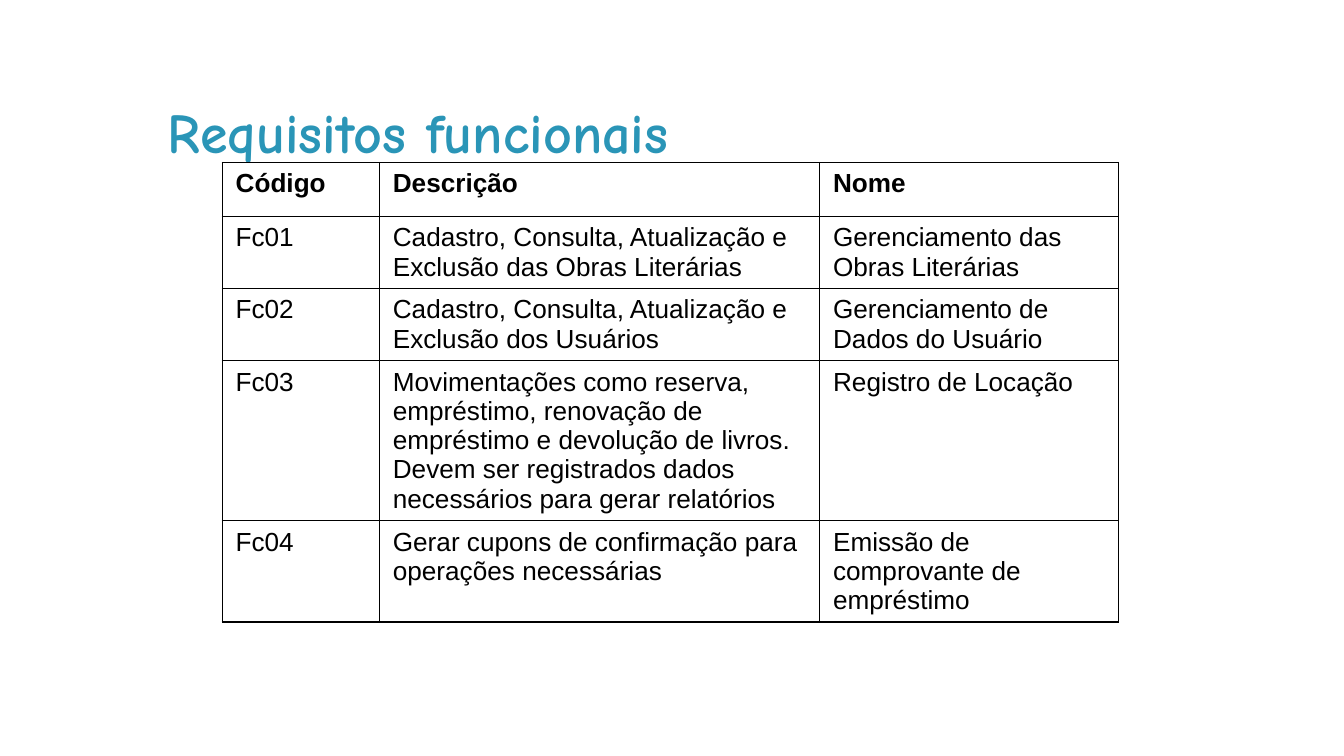
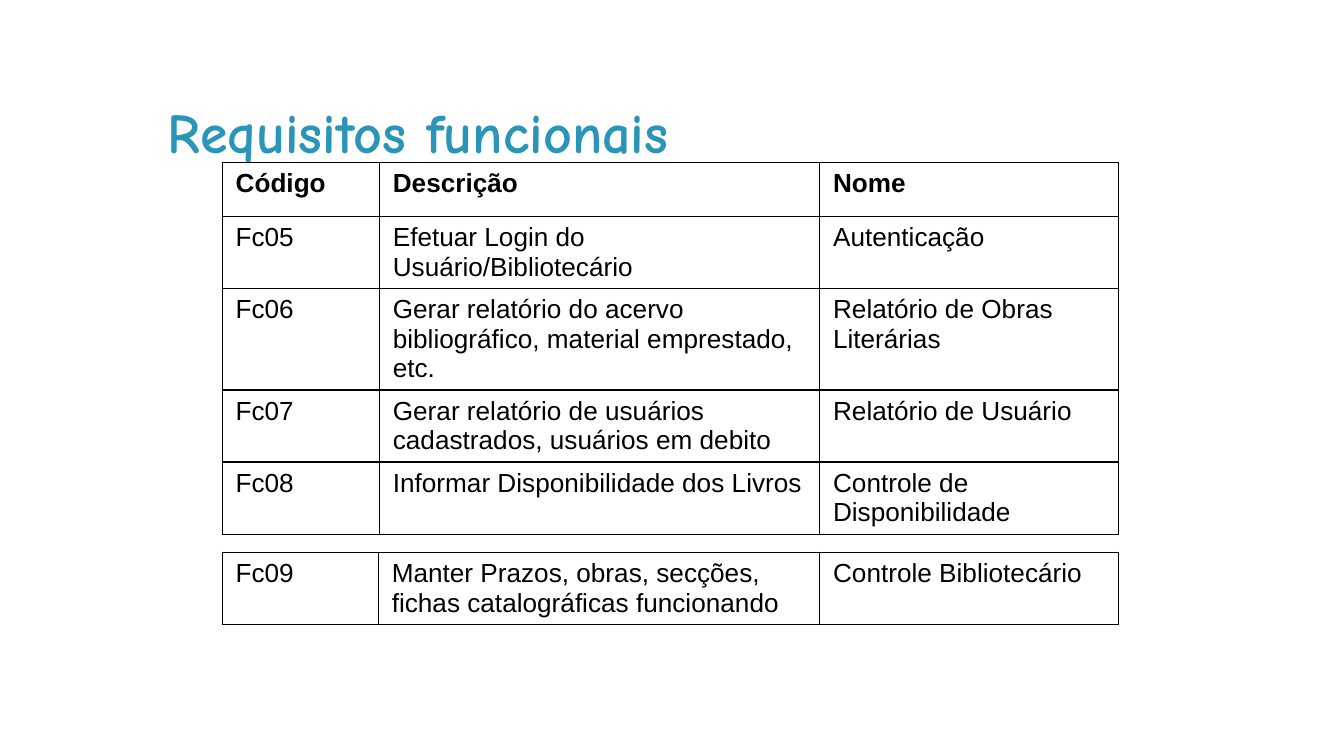
"""Two slides listing the functional requirements of a library system."""
import pptx
import pptx.dml.color
import pptx.enum.text
import pptx.oxml
import pptx.oxml.ns
import pptx.util

Cm = pptx.util.Cm
Pt = pptx.util.Pt

COLORS = {"title": "2A95B7", "text": "000000", "border": "000000"}
TITLE = "Requisitos funcionais"
HEADER = ("Código", "Descrição", "Nome")
TABLE_LEFT, TABLE_TOP, ROW_HEIGHT = 4.2, 3.07, 1.02
COLUMNS = (2.97, 8.32, 5.65)
CELL_LINE_SPACING = 15.7

FIRST_REQUIREMENTS = [
    ("Fc01", "Cadastro, Consulta, Atualização e Exclusão das Obras Literárias",
     "Gerenciamento das Obras Literárias"),
    ("Fc02", "Cadastro, Consulta, Atualização e Exclusão dos Usuários",
     "Gerenciamento de Dados do Usuário"),
    ("Fc03", "Movimentações como reserva, empréstimo, renovação de empréstimo e "
     "devolução de livros. Devem ser registrados dados necessários para gerar "
     "relatórios", "Registro de Locação"),
    ("Fc04", "Gerar cupons de confirmação para operações necessárias",
     "Emissão de comprovante de empréstimo"),
]
NEXT_REQUIREMENTS = [
    ("Fc05", "Efetuar Login do Usuário/Bibliotecário", "Autenticação"),
    ("Fc06", "Gerar relatório do acervo bibliográfico, material emprestado, etc.",
     "Relatório de Obras Literárias"),
    ("Fc07", "Gerar relatório de usuários cadastrados, usuários em debito",
     "Relatório de Usuário"),
    ("Fc08", "Informar Disponibilidade dos Livros", "Controle de Disponibilidade"),
]
LAST_REQUIREMENT = [
    ("Fc09", "Manter Prazos, obras, secções, fichas catalográficas funcionando",
     "Controle Bibliotecário"),
]


def write(frame, text, size=14, font="Arial", color="text", bold=False,
          line_spacing=None):
    """Write one formatted run of text; line_spacing is in points."""
    frame.word_wrap = True
    paragraph = frame.paragraphs[0]
    if line_spacing:
        paragraph.line_spacing = Pt(line_spacing)
    run = paragraph.add_run()
    run.text = text
    run.font.size = Pt(size)
    run.font.name = font
    run.font.bold = bold
    run.font.color.rgb = pptx.dml.color.RGBColor.from_string(COLORS[color])


def outline(cell, width=0.75):
    """Draw a solid line on all four sides of a cell."""
    properties = cell._tc.get_or_add_tcPr()
    for position, side in enumerate(("lnL", "lnR", "lnT", "lnB")):
        line = pptx.oxml.parse_xml(
            f'<a:{side} {pptx.oxml.ns.nsdecls("a")} w="{Pt(width)}">'
            f'<a:solidFill><a:srgbClr val="{COLORS["border"]}"/></a:solidFill>'
            f'<a:prstDash val="solid"/></a:{side}>')
        properties.insert(position, line)


def add_titled_slide(deck):
    """Add a blank slide with the shared title."""
    slide = deck.slides.add_slide(deck.slide_layouts[6])
    title = slide.shapes.add_textbox(Cm(2.92), Cm(1.6), Cm(19.5), Cm(2.08))
    frame = title.text_frame
    frame.margin_top = frame.margin_bottom = Cm(0.25)
    frame.margin_left = frame.margin_right = Cm(0.25)
    frame.vertical_anchor = pptx.enum.text.MSO_ANCHOR.TOP
    write(frame, TITLE, size=30, font="Comic Neue", color="title", bold=True)
    return slide


def add_requirements(slide, rows, top=TABLE_TOP, columns=COLUMNS, header=True):
    """Add a bordered table of requirements, with or without its header."""
    lines = [HEADER, *rows] if header else rows
    table = slide.shapes.add_table(
        len(lines), len(columns), Cm(TABLE_LEFT), Cm(top),
        Cm(sum(columns)), Cm(ROW_HEIGHT * len(lines))).table
    table.first_row = header
    table.horz_banding = False
    for column, width in zip(table.columns, columns):
        column.width = Cm(width)
    for row, line in enumerate(lines):
        table.rows[row].height = Cm(ROW_HEIGHT)
        for column, text in enumerate(line):
            cell = table.cell(row, column)
            cell.fill.background()
            outline(cell)
            write(cell.text_frame, text, bold=header and row == 0,
                  line_spacing=CELL_LINE_SPACING)


def main():
    """Build and save the deck."""
    deck = pptx.Presentation()
    deck.slide_width, deck.slide_height = Cm(25.4), Cm(14.29)

    add_requirements(add_titled_slide(deck), FIRST_REQUIREMENTS)

    slide = add_titled_slide(deck)
    add_requirements(slide, NEXT_REQUIREMENTS)
    add_requirements(slide, LAST_REQUIREMENT, top=10.44,
                     columns=(2.95, 8.34, 5.65), header=False)

    deck.save("out.pptx")


main()
